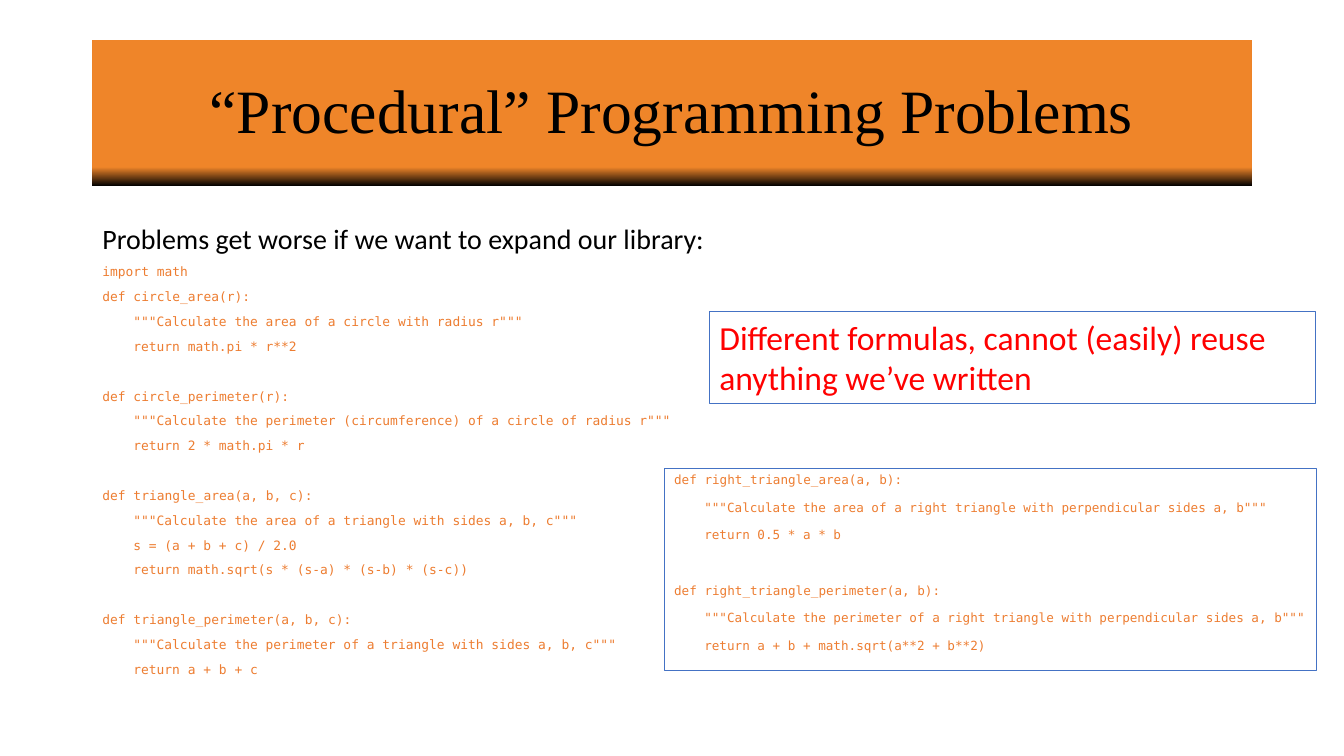
from pptx import Presentation
from pptx.dml.color import RGBColor
from pptx.enum.shapes import MSO_SHAPE
from pptx.enum.text import MSO_ANCHOR, MSO_AUTO_SIZE, PP_ALIGN
from pptx.util import Cm, Pt

COLORS = {
    "banner": "EF8529",
    "shade": "000000",
    "text": "000000",
    "code": "ED7D31",
    "remark": "FF0000",
    "border": "4472C4",
}
CODE_FONT = "DejaVu Sans Mono"
TAB = "    "

LIBRARY_CODE = '''import math
def circle_area(r):
    """Calculate the area of a circle with radius r"""
    return math.pi * r**2

def circle_perimeter(r):
    """Calculate the perimeter (circumference) of a circle of radius r"""
    return 2 * math.pi * r

def triangle_area(a, b, c):
    """Calculate the area of a triangle with sides a, b, c"""
    s = (a + b + c) / 2.0
    return math.sqrt(s * (s-a) * (s-b) * (s-c))

def triangle_perimeter(a, b, c):
    """Calculate the perimeter of a triangle with sides a, b, c"""
    return a + b + c'''

RIGHT_TRIANGLE_CODE = '''def right_triangle_area(a, b):
    """Calculate the area of a right triangle with perpendicular sides a, b"""
    return 0.5 * a * b

def right_triangle_perimeter(a, b):
    """Calculate the perimeter of a right triangle with perpendicular sides a, b"""
    return a + b + math.sqrt(a**2 + b**2)'''


def color(name):
    return RGBColor.from_string(COLORS[name])


def apply(target, values):
    for name, value in values.items():
        setattr(target, name, value)


def write(paragraph, text, font, size, color_name, **layout):
    run = paragraph.add_run()
    run.text = text
    apply(run.font, {"name": font, "size": Pt(size)})
    run.font.color.rgb = color(color_name)
    apply(paragraph, layout)


def next_paragraph(frame):
    """Return the first paragraph while it is empty, otherwise a new one."""
    first = frame.paragraphs[0]
    return frame.add_paragraph() if first.runs else first


def write_code(frame, code, size, spacing, function_gap, indent):
    """Write code lines, with a wider gap before each later function."""
    for number, function in enumerate(code.split("\n\n")):
        for row, line in enumerate(function.split("\n")):
            paragraph = next_paragraph(frame)
            starts_function = number > 0 and row == 0
            write(paragraph, line.strip(), CODE_FONT, size, "code",
                  line_spacing=spacing,
                  space_before=Pt(function_gap if starts_function else 10))
            if line.startswith(TAB):
                paragraph._p.get_or_add_pPr().set("marL", str(indent))


def add_banner_title(slide, text):
    title = slide.shapes.title
    apply(title, {"left": Cm(2.33), "top": Cm(1.01),
                  "width": Cm(29.21), "height": Cm(3.68)})
    title.fill.gradient()
    title.fill.gradient_angle = 90
    stops = ((0, "shade"), (0.13, "banner"))
    for stop, (position, name) in zip(title.fill.gradient_stops, stops):
        stop.position = position
        stop.color.rgb = color(name)
    apply(title.text_frame, {"word_wrap": True,
                             "auto_size": MSO_AUTO_SIZE.NONE,
                             "vertical_anchor": MSO_ANCHOR.MIDDLE})
    write(title.text_frame.paragraphs[0], text, "Times New Roman", 44, "text",
          alignment=PP_ALIGN.CENTER, line_spacing=0.9)


def add_text(slide, left, top, width, height):
    frame = slide.shapes.add_textbox(left, top, width, height).text_frame
    apply(frame, {"word_wrap": True, "margin_right": 0})
    return frame


def add_outlined_box(slide, left, top, width, height):
    box = slide.shapes.add_shape(MSO_SHAPE.RECTANGLE, left, top, width, height)
    box.shadow.inherit = False
    box.fill.background()
    box.line.color.rgb = color("border")
    box.line.width = Pt(0.75)
    frame = box.text_frame
    apply(frame, {"word_wrap": True, "margin_right": 0,
                  "vertical_anchor": MSO_ANCHOR.TOP})
    frame.paragraphs[0].alignment = PP_ALIGN.LEFT
    return frame


def main():
    deck = Presentation()
    apply(deck, {"slide_width": Cm(33.87), "slide_height": Cm(19.05)})
    slide = deck.slides.add_slide(deck.slide_layouts[5])

    add_banner_title(slide, "“Procedural” Programming Problems")

    library = add_text(slide, Cm(2.33), Cm(5.69), Cm(16.43), Cm(10.92))
    write(library.paragraphs[0],
          "Problems get worse if we want to expand our library:",
          "Calibri", 20, "text", line_spacing=0.7, space_before=Pt(10))
    write_code(library, LIBRARY_CODE, 9.2, 0.7, 27.7, Cm(0.78))

    remark = add_outlined_box(slide, Cm(17.88), Cm(7.85), Cm(15.27), Cm(2.31))
    write(remark.paragraphs[0],
          "Different formulas, cannot (easily) reuse anything we’ve written",
          "Calibri", 24, "remark")

    expansion = add_outlined_box(slide, Cm(16.74), Cm(11.81), Cm(16.43), Cm(5.08))
    write_code(expansion, RIGHT_TRIANGLE_CODE, 9, 0.9, 29.8, Cm(0.76))
    for paragraph in expansion.paragraphs:
        paragraph.alignment = PP_ALIGN.LEFT

    deck.save("out.pptx")


if __name__ == "__main__":
    main()
